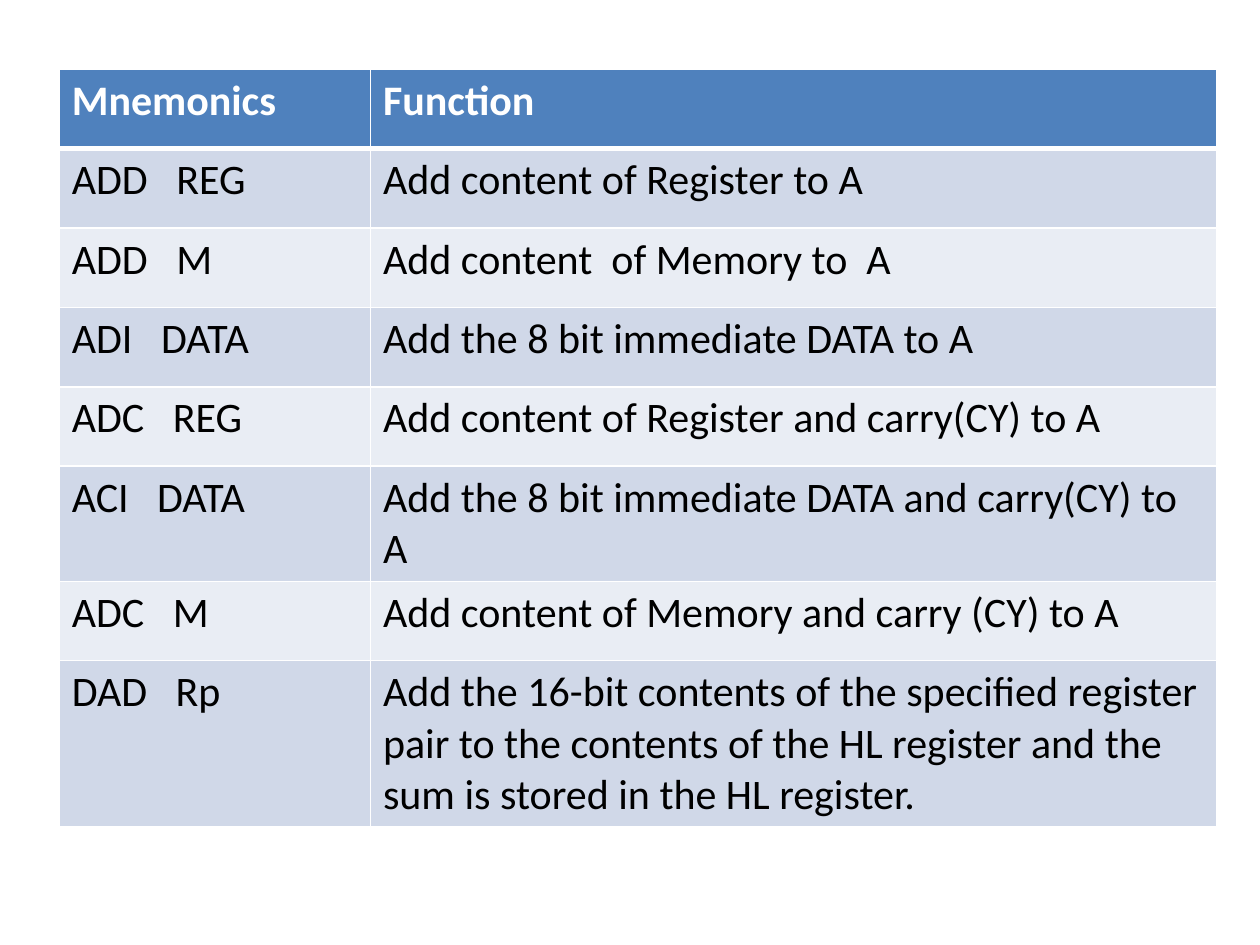
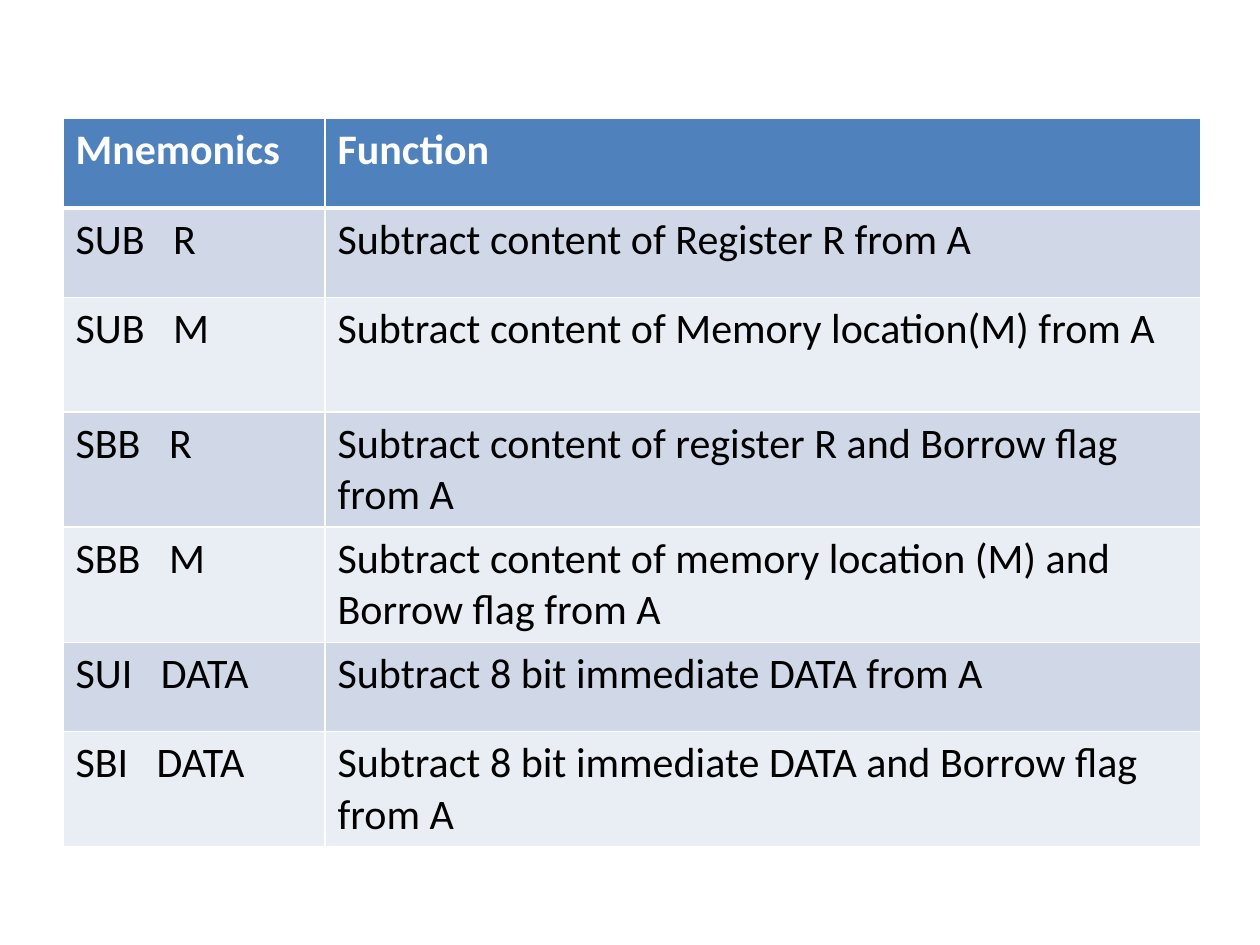
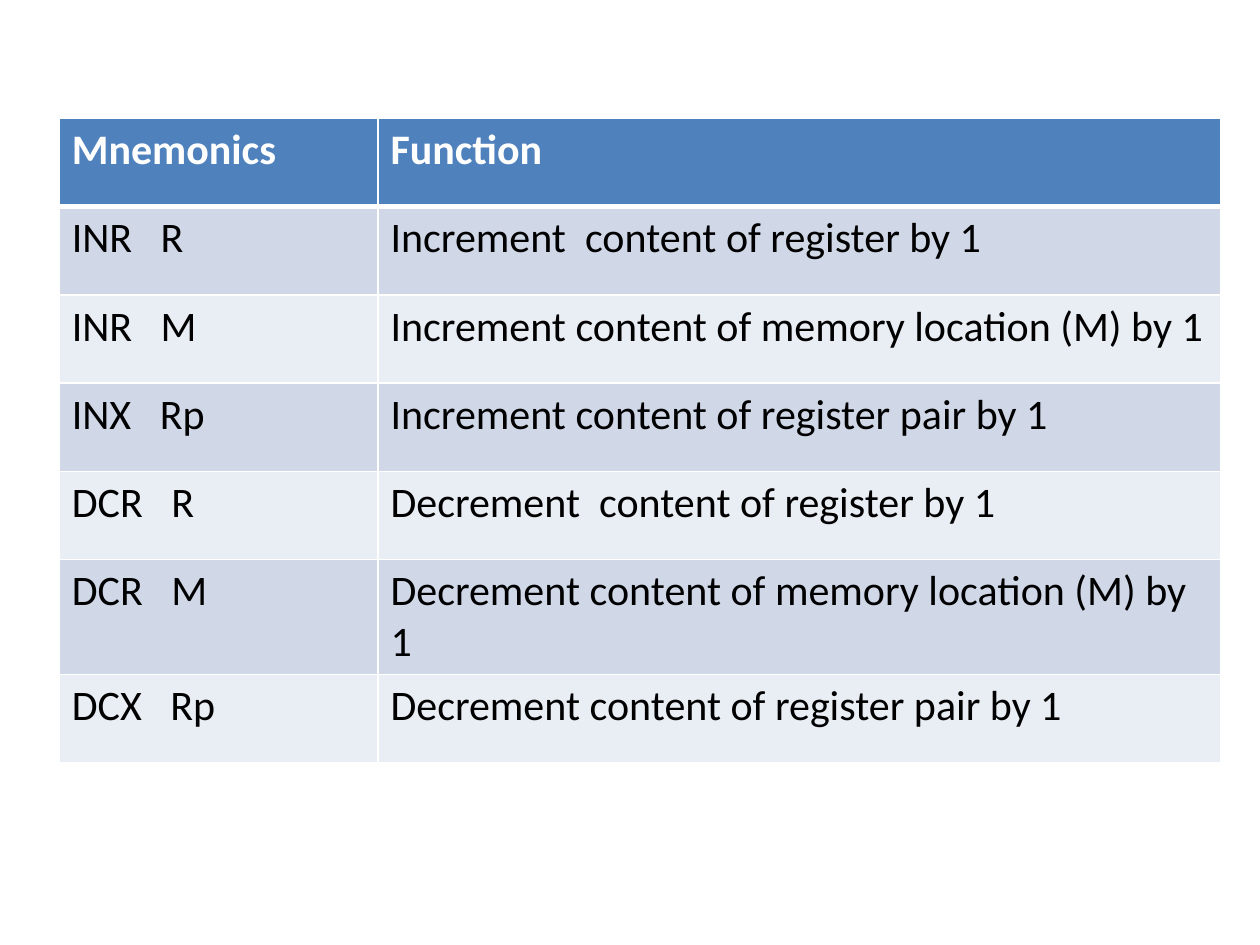
from lxml.etree import SubElement
from pptx import Presentation
from pptx.dml.color import RGBColor
from pptx.oxml.ns import qn
from pptx.util import Inches, Pt

# Shared style
FONT, TEXT_SIZE = "Calibri", Pt(24)
WHITE = RGBColor(0xFF, 0xFF, 0xFF)
BLACK = RGBColor(0x00, 0x00, 0x00)
HEADER_BLUE = RGBColor(0x4F, 0x81, 0xBD)
BANDS = (RGBColor(0xE9, 0xED, 0xF4), RGBColor(0xD0, 0xD8, 0xE8))
THIN, THICK = Pt(1), Pt(3)
HEADER = ("Mnemonics", "Function")

# Content: one instruction table per slide; lengths in inches,
# "tall" gives the rows that are higher than their text needs
TABLES = [
    {
        "left": 0.47, "top": 0.55, "columns": (2.47, 6.72),
        "row_height": 0.63, "tall": {},
        "rows": [
            ("ADD   REG", "Add content of Register to A"),
            ("ADD   M", "Add content  of Memory to  A"),
            ("ADI   DATA", "Add the 8 bit immediate DATA to A"),
            ("ADC   REG", "Add content of Register and carry(CY) to A"),
            ("ACI   DATA", "Add the 8 bit immediate DATA and carry(CY) to A"),
            ("ADC   M", "Add content of Memory and carry (CY) to A"),
            ("DAD   Rp", "Add the 16-bit contents of the specified register "
             "pair to the contents of the HL register and the sum is stored "
             "in the HL register."),
        ],
    },
    {
        "left": 0.5, "top": 0.94, "columns": (2.08, 6.95),
        "row_height": 0.71, "tall": {2: 0.91},
        "rows": [
            ("SUB   R", "Subtract content of Register R from A"),
            ("SUB   M", "Subtract content of Memory location(M) from A"),
            ("SBB   R", "Subtract content of register R and Borrow flag from A"),
            ("SBB   M", "Subtract content of memory location (M) and Borrow "
             "flag from A"),
            ("SUI   DATA", "Subtract 8 bit immediate DATA from A"),
            ("SBI   DATA", "Subtract 8 bit immediate DATA and Borrow flag from A"),
        ],
    },
    {
        "left": 0.47, "top": 0.94, "columns": (2.53, 6.69),
        "row_height": 0.7, "tall": {},
        "rows": [
            ("INR   R", "Increment  content of register by 1"),
            ("INR   M", "Increment content of memory location (M) by 1"),
            ("INX   Rp", "Increment content of register pair by 1"),
            ("DCR   R", "Decrement  content of register by 1"),
            ("DCR   M", "Decrement content of memory location (M) by 1"),
            ("DCX   Rp", "Decrement content of register pair by 1"),
        ],
    },
]


def set_borders(cell, top, bottom):
    properties = cell._tc.get_or_add_tcPr()
    for side, width in (("L", THIN), ("R", THIN), ("T", top), ("B", bottom)):
        line = SubElement(properties, qn(f"a:ln{side}"), w=str(width))
        fill = SubElement(line, qn("a:solidFill"))
        SubElement(fill, qn("a:srgbClr"), val=str(WHITE))


def fill_cell(cell, text, row_index):
    is_header = row_index == 0
    # The heavy rule runs between the header and the first row
    set_borders(cell, THICK if row_index == 1 else THIN,
                THICK if is_header else THIN)
    cell.fill.solid()
    cell.fill.fore_color.rgb = HEADER_BLUE if is_header else BANDS[row_index % 2]
    run = cell.text_frame.paragraphs[0].add_run()
    run.text = text
    run.font.name, run.font.size, run.font.bold = FONT, TEXT_SIZE, is_header
    run.font.color.rgb = WHITE if is_header else BLACK


def add_instruction_table(slide, content):
    rows = [HEADER] + content["rows"]
    columns = content["columns"]
    heights = [content["tall"].get(index, content["row_height"])
               for index in range(len(rows))]
    table = slide.shapes.add_table(
        len(rows), len(columns), Inches(content["left"]), Inches(content["top"]),
        Inches(sum(columns)), Inches(sum(heights))).table
    for column, width in zip(table.columns, columns):
        column.width = Inches(width)
    for row_index, texts in enumerate(rows):
        table.rows[row_index].height = Inches(heights[row_index])
        for column_index, text in enumerate(texts):
            fill_cell(table.cell(row_index, column_index), text, row_index)


# Build the slides
presentation = Presentation()
presentation.slide_width, presentation.slide_height = Inches(10), Inches(7.5)
for content in TABLES:
    slide = presentation.slides.add_slide(presentation.slide_layouts[6])
    add_instruction_table(slide, content)
presentation.save("out.pptx")
